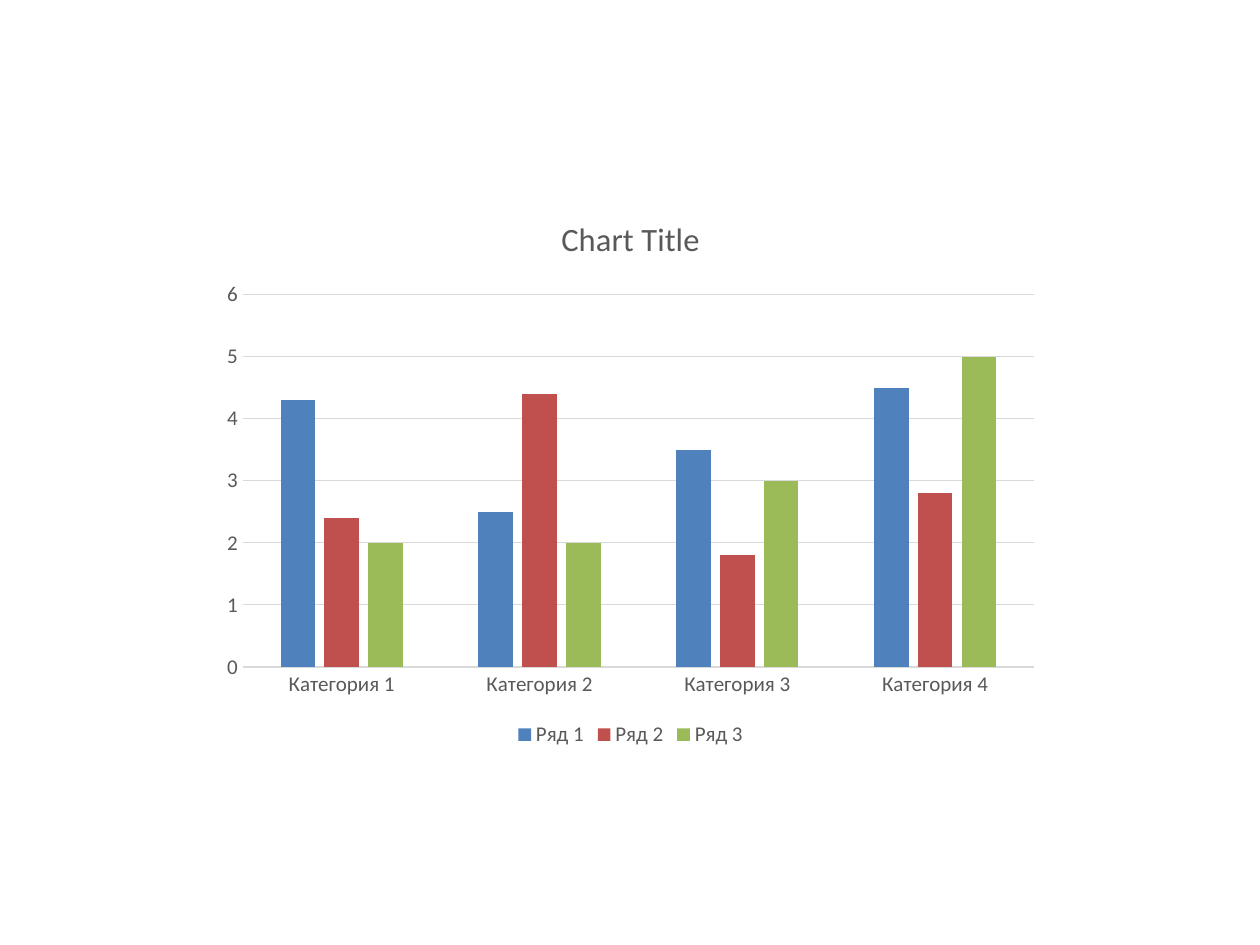
from dataclasses import dataclass

from pptx import Presentation
from pptx.chart.data import CategoryChartData
from pptx.dml.color import RGBColor
from pptx.enum.chart import XL_CHART_TYPE, XL_LEGEND_POSITION, XL_TICK_MARK
from pptx.util import Inches, Pt

TEXT_COLOR = "595959"
LINE_COLOR = "D9D9D9"


@dataclass
class Series:
    name: str
    values: tuple[float, ...]
    color: str


SERIES = [
    Series("Ряд 1", (4.3, 2.5, 3.5, 4.5), "4F81BD"),
    Series("Ряд 2", (2.4, 4.4, 1.8, 2.8), "C0504D"),
    Series("Ряд 3", (2, 2, 3, 5), "9BBB59"),
]


def rgb(color: str) -> RGBColor:
    return RGBColor.from_string(color)


def style_font(font, size: float) -> None:
    font.name = "Calibri"
    font.size = Pt(size)
    font.bold = False
    font.color.rgb = rgb(TEXT_COLOR)


def style_line(line) -> None:
    line.color.rgb = rgb(LINE_COLOR)
    line.width = Pt(0.75)


def style_axis(axis) -> None:
    axis.major_tick_mark = XL_TICK_MARK.NONE
    axis.minor_tick_mark = XL_TICK_MARK.NONE
    style_font(axis.tick_labels.font, 12)


def add_column_chart(slide) -> None:
    data = CategoryChartData(number_format="General")
    data.categories = [f"Категория {number}" for number in range(1, 5)]
    for series in SERIES:
        data.add_series(series.name, series.values)

    chart = slide.shapes.add_chart(
        XL_CHART_TYPE.COLUMN_CLUSTERED,
        Inches(1.67), Inches(1.53), Inches(6.67), Inches(4.44), data,
    ).chart
    style_font(chart.font, 12)

    chart.has_title = True
    title = chart.chart_title.text_frame.paragraphs[0]
    title.text = "Chart Title"
    style_font(title.font, 18.6)
    style_font(title.runs[0].font, 18.6)
    chart.chart_title.include_in_layout = False

    chart.has_legend = True
    chart.legend.position = XL_LEGEND_POSITION.BOTTOM
    chart.legend.include_in_layout = False
    style_font(chart.legend.font, 12)

    style_axis(chart.category_axis)
    style_line(chart.category_axis.format.line)
    value_axis = chart.value_axis
    style_axis(value_axis)
    value_axis.minimum_scale = 0
    value_axis.maximum_scale = 6
    value_axis.major_unit = 1
    value_axis.format.line.fill.background()
    style_line(value_axis.major_gridlines.format.line)

    plot = chart.plots[0]
    plot.gap_width = 219
    plot.overlap = -27
    plot.vary_by_categories = False
    for drawn, series in zip(plot.series, SERIES):
        drawn.format.fill.solid()
        drawn.format.fill.fore_color.rgb = rgb(series.color)


def main() -> None:
    deck = Presentation()
    deck.slide_width = Inches(10)
    deck.slide_height = Inches(7.5)
    page = deck.slides.add_slide(deck.slide_layouts[6])
    add_column_chart(page)
    deck.save("out.pptx")


main()
